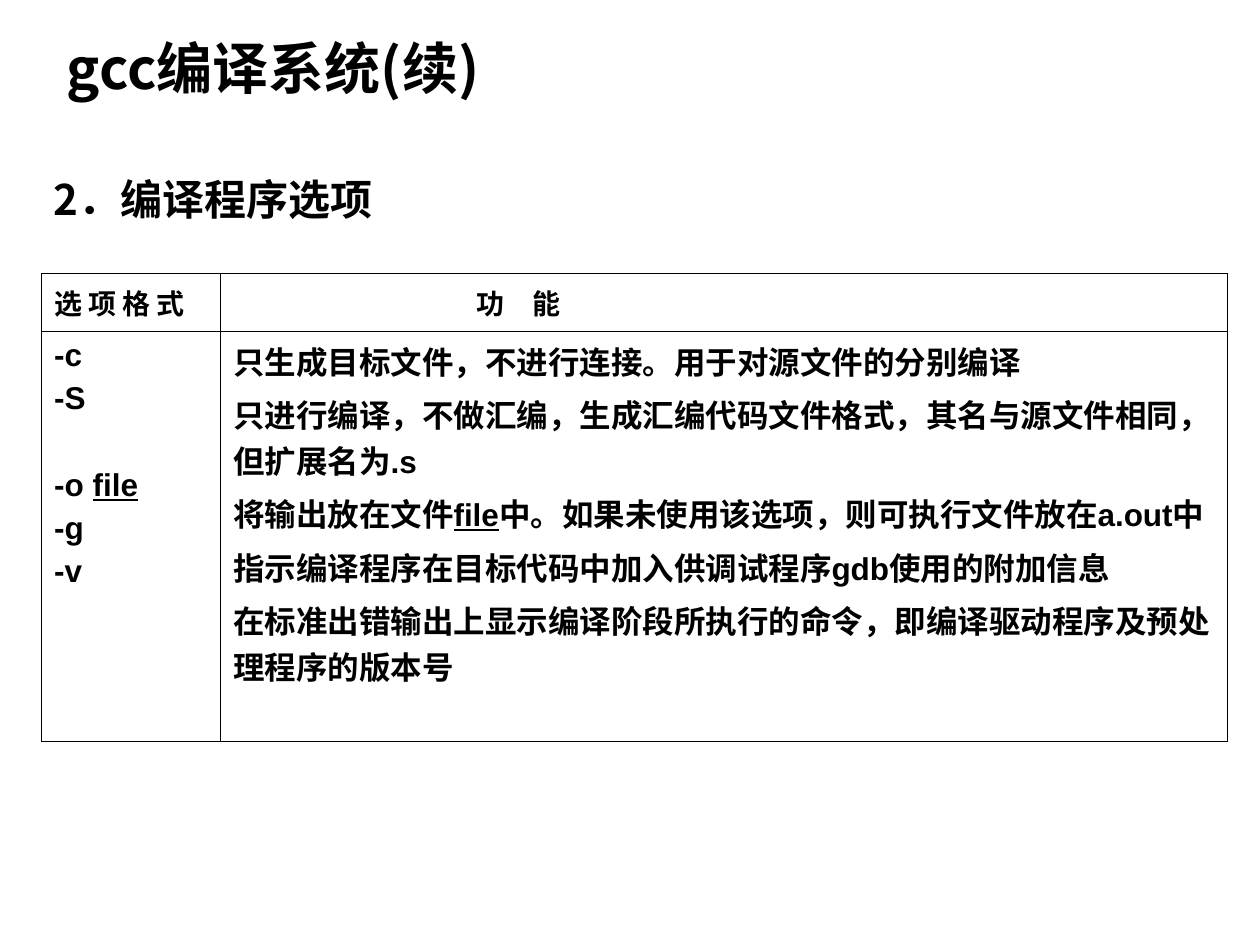
"""Build a slide that lists compiler options in a table."""
from lxml.etree import SubElement
from pptx import Presentation
from pptx.dml.color import RGBColor
from pptx.enum.text import MSO_ANCHOR, MSO_AUTO_SIZE, PP_ALIGN
from pptx.oxml.ns import qn
from pptx.util import Inches, Pt

BLACK = RGBColor(0, 0, 0)
HAN = "Noto Sans CJK SC"
LATIN = "Arial"
COLS = (1.42, 7.99)
ROWS = (0.46, 3.25)
GAP = 4.5
SKIP = 29.7
HEADS = ("选 项 格 式", "功　能")
FLAGS = ("-c", "-S", "-o |file|", "-g", "-v")
USES = (
    "只生成目标文件，不进行连接。用于对源文件的分别编译",
    "只进行编译，不做汇编，生成汇编代码文件格式，其名与源文件相同，但扩展名为.s",
    "将输出放在文件|file|中。如果未使用该选项，则可执行文件放在a.out中",
    "指示编译程序在目标代码中加入供调试程序gdb使用的附加信息",
    "在标准出错输出上显示编译阶段所执行的命令，即编译驱动程序及预处理程序的版本号",
)


def style(run, size, face):
    """Make a run bold and black in the given size and face."""
    font = run.font
    font.size, font.bold, font.name = Pt(size), True, face
    font.color.rgb = BLACK
    SubElement(run._r.get_or_add_rPr(), qn("a:ea"), typeface=HAN)


def write(frame, lines, size, face):
    """Fill a frame with lines, underlining what stands between bars."""
    frame.text = "\n".join(line.replace("|", "") for line in lines)
    for row, (para, line) in enumerate(zip(frame.paragraphs, lines)):
        para.alignment = PP_ALIGN.LEFT
        if row:
            para.space_before = Pt(GAP)
        parts = [part for part in line.split("|") if part]
        para.runs[0].text = parts[0]
        for part in parts[1:]:
            para.add_run().text = part
        for spot, run in enumerate(para.runs):
            style(run, size, face)
            if spot == 1:
                run.font.underline = True


def edge(cell):
    """Draw thin black borders around an unfilled cell."""
    cell.fill.background()
    props = cell._tc.get_or_add_tcPr()
    for spot, side in enumerate(("lnL", "lnR", "lnT", "lnB")):
        line = SubElement(props, qn("a:" + side), w=str(Pt(0.45)))
        fill = SubElement(line, qn("a:solidFill"))
        SubElement(fill, qn("a:srgbClr"), val=str(BLACK))
        props.insert(spot, line)


def add_title(slide, text):
    """Place and fill the title."""
    title = slide.shapes.title
    title.left, title.top = Inches(0.43), Inches(0.28)
    title.width, title.height = Inches(9.06), Inches(0.5)
    frame = title.text_frame
    write(frame, [text], 32, HAN)
    frame.auto_size = MSO_AUTO_SIZE.NONE
    frame.vertical_anchor = MSO_ANCHOR.MIDDLE


def add_head(slide, text):
    """Add the section heading."""
    box = slide.shapes.add_textbox(
        Inches(0.33), Inches(1.33), Inches(9.34), Inches(0.6))
    box.text_frame.word_wrap = True
    write(box.text_frame, [text], 24, HAN)


def add_grid(slide):
    """Add the table of options and their uses."""
    grid = slide.shapes.add_table(
        len(ROWS), len(COLS), Inches(0.33), Inches(2.17),
        Inches(sum(COLS)), Inches(sum(ROWS))).table
    grid.first_row = grid.horz_banding = False
    for col, width in zip(grid.columns, COLS):
        col.width = Inches(width)
    for row, height in zip(grid.rows, ROWS):
        row.height = Inches(height)
    for col, (head, body) in enumerate(zip(HEADS, (FLAGS, USES))):
        write(grid.cell(0, col).text_frame, [head], 16, LATIN)
        write(grid.cell(1, col).text_frame, body, 18, LATIN)
    for cell in grid.iter_cells():
        edge(cell)
    grid.cell(0, 0).vertical_anchor = MSO_ANCHOR.MIDDLE
    grid.cell(0, 1).vertical_anchor = MSO_ANCHOR.MIDDLE
    grid.cell(0, 1).margin_left = Inches(2.03)
    grid.cell(1, 0).text_frame.paragraphs[2].space_before = Pt(SKIP)


def main():
    """Build and save the slide."""
    deck = Presentation()
    deck.slide_width, deck.slide_height = Inches(10), Inches(7.5)
    slide = deck.slides.add_slide(deck.slide_layouts[5])
    add_title(slide, "gcc编译系统(续)")
    add_head(slide, "2．编译程序选项")
    add_grid(slide)
    deck.save("out.pptx")


if __name__ == "__main__":
    main()
